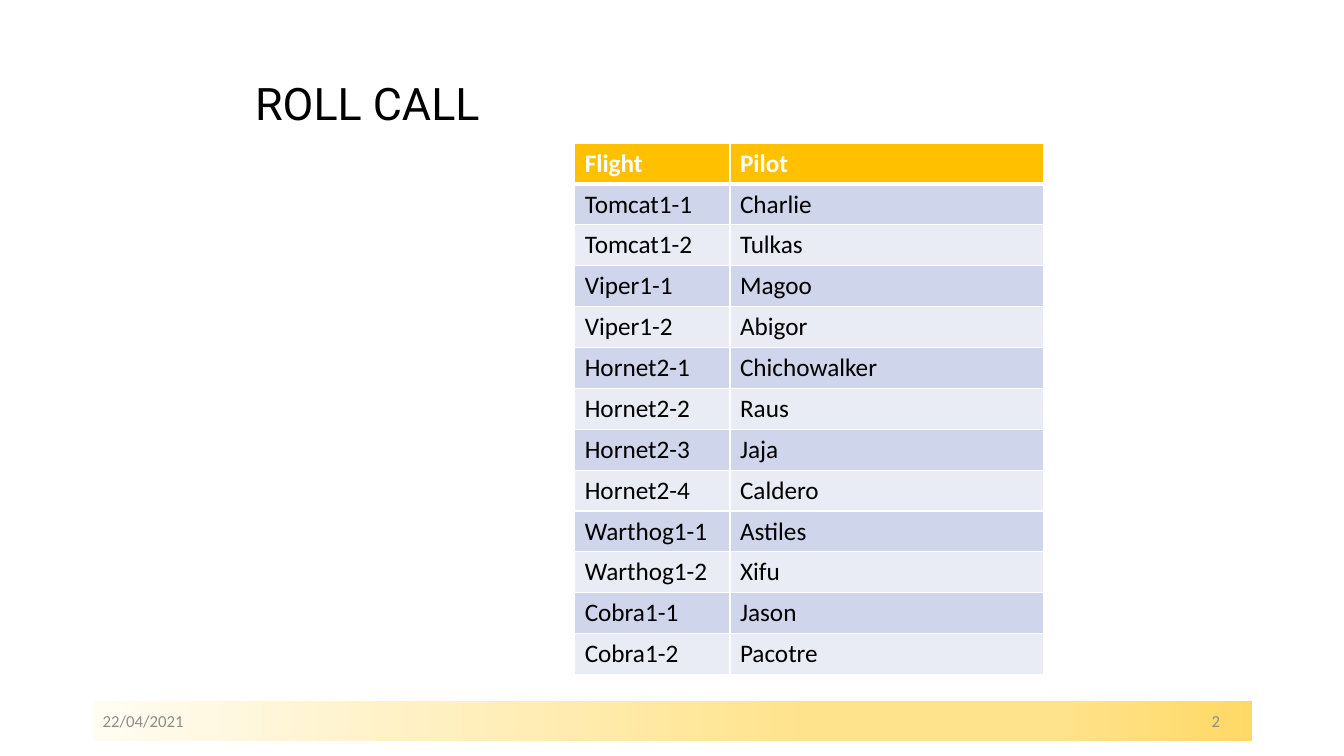
from copy import deepcopy

from lxml import etree
from pptx import Presentation
from pptx.dml.color import RGBColor
from pptx.enum.shapes import MSO_SHAPE
from pptx.enum.text import MSO_ANCHOR, PP_ALIGN
from pptx.oxml.ns import qn
from pptx.util import Emu, Pt

PX = 9144  # 100 px to the inch
RECTANGLE = MSO_SHAPE.RECTANGLE
LEFT = PP_ALIGN.LEFT
MIDDLE = MSO_ANCHOR.MIDDLE

BLACK = RGBColor(0x00, 0x00, 0x00)
WHITE = RGBColor(0xFF, 0xFF, 0xFF)
GREY = RGBColor(0x8C, 0x8C, 0x8C)
AMBER = RGBColor(0xFF, 0xC0, 0x00)
BANDS = (RGBColor(0xCF, 0xD5, 0xEA), RGBColor(0xE9, 0xEB, 0xF5))
FOOTER_STOPS = (
    (0, RGBColor(0xFF, 0xFC, 0xF2)),
    (0.62, RGBColor(0xFF, 0xE3, 0x8C)),
    (0.83, RGBColor(0xFF, 0xE3, 0x8C)),
    (1, RGBColor(0xFF, 0xD9, 0x66)),
)

ROLL = (
    ("Flight", "Pilot"),
    ("Tomcat1-1", "Charlie"),
    ("Tomcat1-2", "Tulkas"),
    ("Viper1-1", "Magoo"),
    ("Viper1-2", "Abigor"),
    ("Hornet2-1", "Chichowalker"),
    ("Hornet2-2", "Raus"),
    ("Hornet2-3", "Jaja"),
    ("Hornet2-4", "Caldero"),
    ("Warthog1-1", "Astiles"),
    ("Warthog1-2", "Xifu"),
    ("Cobra1-1", "Jason"),
    ("Cobra1-2", "Pacotre"),
)


def px(*lengths):
    return [Emu(length * PX) for length in lengths]


def style(font, color, **formats):
    font.color.rgb = color
    for attribute, value in formats.items():
        setattr(font, attribute, value)


def add_title(slide, box, wording):
    title = slide.shapes.title
    title.left, title.top, title.width, title.height = px(*box)
    frame = title.text_frame
    frame.text = wording
    frame.vertical_anchor = MIDDLE
    heading = frame.paragraphs[0]
    heading.alignment = LEFT
    heading.line_spacing = 0.9
    style(heading.runs[0].font, BLACK, name="Roboto", size=Pt(32))


def set_borders(cell, widths):
    """Draw white cell borders; widths maps a side's tag to points."""
    properties = cell._tc.get_or_add_tcPr()
    for position, (side, width) in enumerate(widths.items()):
        line = etree.Element(qn(f"a:{side}"), w=str(Pt(width)))
        solid = etree.SubElement(line, qn("a:solidFill"))
        etree.SubElement(solid, qn("a:srgbClr"), val=str(WHITE))
        properties.insert(position, line)


def add_roll(slide, box, column_widths):
    roll = slide.shapes.add_table(len(ROLL), len(ROLL[0]), *px(*box)).table
    for column, width in zip(roll.columns, px(*column_widths)):
        column.width = width
    for row, entries in enumerate(ROLL):
        header = row == 0
        for column, entry in enumerate(entries):
            cell = roll.cell(row, column)
            cell.text = entry
            cell.fill.solid()
            cell.fill.fore_color.rgb = AMBER if header else BANDS[(row - 1) % 2]
            style(cell.text_frame.paragraphs[0].runs[0].font,
                  WHITE if header else BLACK,
                  name="Calibri", size=Pt(18), bold=header)
            set_borders(cell, {"lnL": 1, "lnR": 1,
                               "lnT": 3 if row == 1 else 1,
                               "lnB": 3 if header else 1})


def fill_gradient(shape, stops):
    shape.fill.gradient()
    shape.fill.gradient_angle = 0
    stop_list = shape._element.spPr.find(qn("a:gradFill")).find(qn("a:gsLst"))
    while len(stop_list) < len(stops):
        stop_list.append(deepcopy(stop_list[0]))
    for stop, (position, color) in zip(shape.fill.gradient_stops, stops):
        stop.position = position
        stop.color.rgb = color


def add_footer(slide, box, date, number, number_tab):
    footer = slide.shapes.add_shape(RECTANGLE, *px(*box))
    footer.shadow.inherit = False
    footer.line.fill.background()
    fill_gradient(footer, FOOTER_STOPS)
    frame = footer.text_frame
    frame.vertical_anchor = MIDDLE
    frame.text = f"{date}\t{number}"
    line = frame.paragraphs[0]
    line.alignment = LEFT
    tabs = etree.SubElement(line._p.get_or_add_pPr(), qn("a:tabLst"))
    etree.SubElement(tabs, qn("a:tab"), pos=str(number_tab * PX), algn="l")
    style(line.runs[0].font, GREY, name="Calibri", size=Pt(12))


def main():
    deck = Presentation()
    deck.slide_width, deck.slide_height = px(1333, 750)
    slide = deck.slides.add_slide(deck.slide_layouts[5])
    add_title(slide, (243, 40, 849, 131), "ROLL CALL")
    add_roll(slide, (570, 142, 465, 520), (154, 311))
    add_footer(slide, (92, 695, 1150, 40), "22/04/2021", "2", 1100)
    deck.save("out.pptx")


if __name__ == "__main__":
    main()
